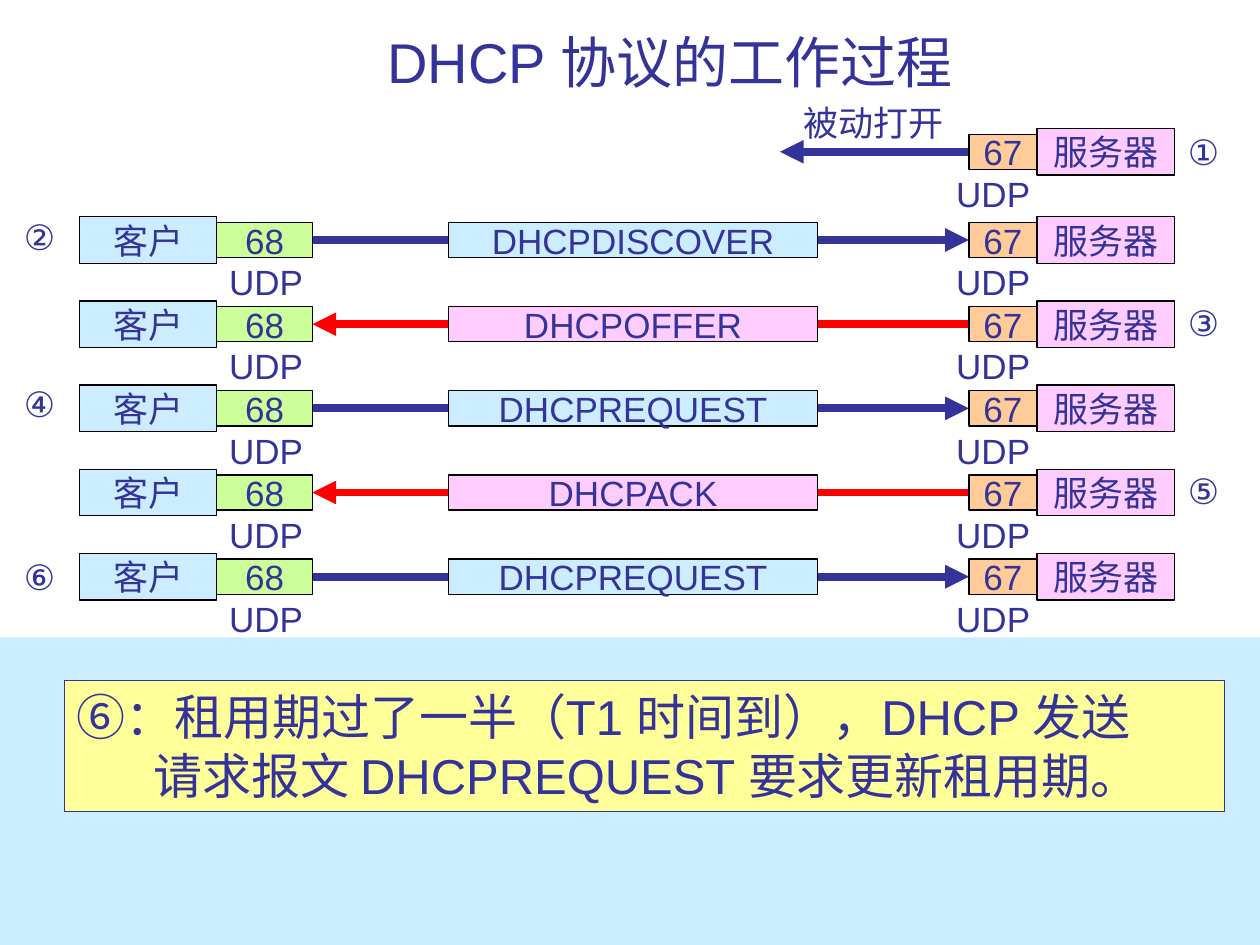
from lxml.etree import SubElement
from pptx import Presentation
from pptx.dml.color import RGBColor
from pptx.enum.shapes import MSO_CONNECTOR, MSO_SHAPE
from pptx.enum.text import MSO_ANCHOR, MSO_AUTO_SIZE, PP_ALIGN
from pptx.oxml.ns import qn
from pptx.util import Inches, Pt

COLUMNS, ROWS = 100, 75
INK, RED, BLACK = "333399", "FF0000", "000000"
BLUE, PINK, ORANGE, GREEN, YELLOW = "CCECFF", "FFCCFF", "FFCC99", "CCFF99", "FFFF99"
CLIENT_LEFT, CLIENT_PORT_LEFT, CLIENT_PORT_WIDTH = 6.3, 17.2, 7.6
MESSAGE_LEFT, MESSAGE_WIDTH = 35.6, 29.3
SERVER_PORT_LEFT, SERVER_PORT_WIDTH, SERVER_LEFT = 76.9, 5.4, 82.3
HOST_WIDTH, HOST_HEIGHT, PORT_HEIGHT = 10.9, 3.7, 2.8
LABEL_HEIGHT, LABEL_DROP = 4.4, 1.15
CLIENT_NUMBER_LEFT, SERVER_NUMBER_LEFT = 0.9, 93.3
PASSIVE_ROW, FIRST_ROW, ROW_STEP = 12.05, 19.05, 6.68
EXCHANGES = [
    ("DHCPDISCOVER", True, "②", 16.6),
    ("DHCPOFFER", False, "③", 23.4),
    ("DHCPREQUEST", True, "④", 29.9),
    ("DHCPACK", False, "⑤", 36.8),
    ("DHCPREQUEST", True, "⑥", 43.6),
]


def color(value):
    """Turn a hex string into a colour."""
    return RGBColor.from_string(value)


def write(para, text, size=20, ink=INK, align=PP_ALIGN.LEFT, indent=0):
    """Put formatted text into a paragraph."""
    para.alignment = align
    if indent:
        properties = para._p.get_or_add_pPr()
        properties.set("marL", str(Inches(indent)))
        properties.set("indent", "0")
    span = para.add_run()
    span.text = text
    span.font.name = "Arial"
    span.font.size = Pt(size)
    span.font.color.rgb = color(ink)


class Diagram:
    """Hold the style and the current slide of the protocol diagram."""

    def __init__(self, deck):
        """Add a title-only page to the deck."""
        self.width, self.height = deck.slide_width, deck.slide_height
        self.page = deck.slides.add_slide(deck.slide_layouts[5])

    def across(self, columns):
        """Convert grid columns to a length."""
        return round(self.width * columns / COLUMNS)

    def down(self, rows):
        """Convert grid rows to a length."""
        return round(self.height * rows / ROWS)

    def place(self, left, top, width, height):
        """Convert a grid cell range to lengths."""
        return self.across(left), self.down(top), self.across(width), self.down(height)

    def title(self, text, *cells):
        """Move and fill the title placeholder."""
        box = self.page.shapes.title
        box.left, box.top, box.width, box.height = self.place(*cells)
        box.text_frame.auto_size = MSO_AUTO_SIZE.NONE
        box.text_frame.vertical_anchor = MSO_ANCHOR.BOTTOM
        write(box.text_frame.paragraphs[0], text, size=32, align=PP_ALIGN.CENTER)

    def panel(self, *cells, fill, line=None):
        """Draw a plain rectangle."""
        box = self.page.shapes.add_shape(MSO_SHAPE.RECTANGLE, *self.place(*cells))
        box.shadow.inherit = False
        box.fill.solid()
        box.fill.fore_color.rgb = color(fill)
        if line:
            box.line.color.rgb = color(line)
            box.line.width = Pt(0.75)
        else:
            box.line.fill.background()
        return box

    def block(self, text, left, middle, width, height, fill):
        """Draw a labelled rectangle centred on a grid row."""
        box = self.panel(left, middle - height / 2, width, height, fill=fill, line=BLACK)
        box.text_frame.word_wrap = False
        box.text_frame.vertical_anchor = MSO_ANCHOR.MIDDLE
        write(box.text_frame.paragraphs[0], text, align=PP_ALIGN.CENTER)

    def label(self, text, left, top, width):
        """Place a single line of text."""
        box = self.page.shapes.add_textbox(*self.place(left, top, width, LABEL_HEIGHT))
        box.text_frame.word_wrap = False
        write(box.text_frame.paragraphs[0], text)

    def arrow(self, start, end, middle, line):
        """Draw a thick horizontal arrow."""
        row = self.down(middle)
        connector = self.page.shapes.add_connector(
            MSO_CONNECTOR.STRAIGHT, self.across(start), row, self.across(end), row)
        connector.line.color.rgb = color(line)
        connector.line.width = Pt(4.5)
        SubElement(connector.line._get_or_add_ln(), qn("a:tailEnd"), type="triangle")
        SubElement(connector._element.spPr, qn("a:effectLst"))

    def client(self, middle):
        """Draw a client with its port."""
        self.block("客户", CLIENT_LEFT, middle, HOST_WIDTH, HOST_HEIGHT, BLUE)
        self.block("68", CLIENT_PORT_LEFT, middle, CLIENT_PORT_WIDTH, PORT_HEIGHT, GREEN)
        self.label("UDP", CLIENT_PORT_LEFT, middle + LABEL_DROP, 7.9)

    def server(self, middle):
        """Draw a server with its port."""
        self.block("服务器", SERVER_LEFT, middle, HOST_WIDTH, HOST_HEIGHT, PINK)
        self.block("67", SERVER_PORT_LEFT, middle, SERVER_PORT_WIDTH, PORT_HEIGHT, ORANGE)
        self.label("UDP", 74.9, middle + LABEL_DROP, 7.9)

    def exchange(self, middle, message, from_client, number, number_top):
        """Draw one message between client and server."""
        ends = [CLIENT_PORT_LEFT + CLIENT_PORT_WIDTH, SERVER_PORT_LEFT]
        start, end = ends if from_client else reversed(ends)
        self.arrow(start, end, middle, INK if from_client else RED)
        self.client(middle)
        self.block(message, MESSAGE_LEFT, middle, MESSAGE_WIDTH, PORT_HEIGHT,
                   BLUE if from_client else PINK)
        self.server(middle)
        number_left = CLIENT_NUMBER_LEFT if from_client else SERVER_NUMBER_LEFT
        self.label(number, number_left, number_top, 4.8)

    def note(self, first, second, *cells):
        """Draw the explanation with an indented second line."""
        frame = self.panel(*cells, fill=YELLOW, line=INK).text_frame
        frame.word_wrap = True
        frame.vertical_anchor = MSO_ANCHOR.TOP
        write(frame.paragraphs[0], first, size=28, align=PP_ALIGN.JUSTIFY)
        write(frame.add_paragraph(), second, size=28, align=PP_ALIGN.JUSTIFY, indent=0.61)


def main():
    """Build and save the slide."""
    deck = Presentation()
    deck.slide_width, deck.slide_height = Inches(10), Inches(7.5)
    diagram = Diagram(deck)
    diagram.title("DHCP 协议的工作过程", 10.6, 2.1, 85.2, 5.9)
    diagram.arrow(SERVER_PORT_LEFT, 61.9, PASSIVE_ROW, INK)
    diagram.server(PASSIVE_ROW)
    diagram.label("被动打开", 62.8, 7.6, 13.1)
    diagram.label("①", SERVER_NUMBER_LEFT, 9.9, 4.8)
    for index, exchange in enumerate(EXCHANGES):
        diagram.exchange(FIRST_ROW + index * ROW_STEP, *exchange)
    diagram.panel(0, 50.6, COLUMNS, ROWS - 50.6, fill=BLUE)
    diagram.note("⑥：租用期过了一半（T1 时间到），DHCP 发送",
                 "请求报文 DHCPREQUEST 要求更新租用期。", 5.1, 54, 92.1, 10.4)
    deck.save("out.pptx")


if __name__ == "__main__":
    main()
